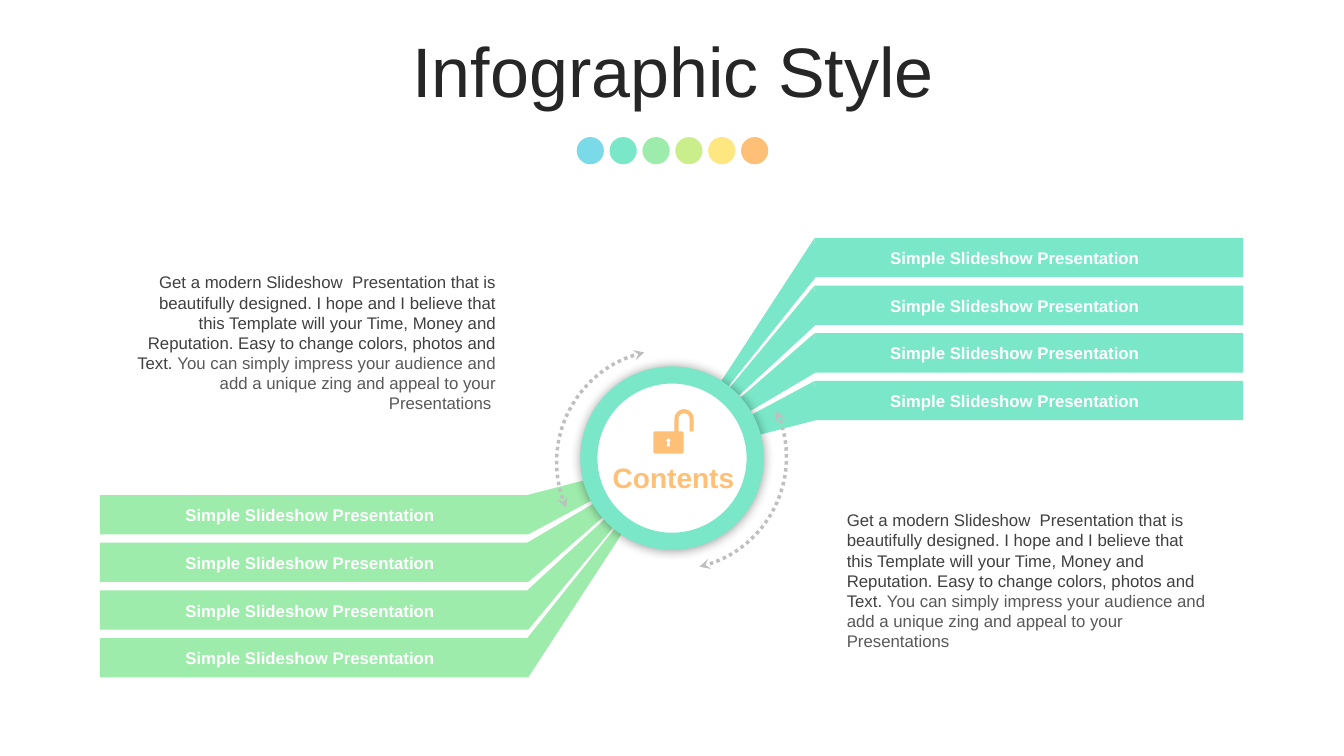
from math import cos, radians, sin

from lxml import etree
from pptx import Presentation
from pptx.dml.color import RGBColor
from pptx.enum.dml import MSO_LINE
from pptx.enum.shapes import MSO_SHAPE
from pptx.enum.text import MSO_ANCHOR, MSO_AUTO_SIZE, PP_ALIGN
from pptx.oxml.ns import qn
from pptx.util import Inches, Pt

RECT, OVAL, ARC = MSO_SHAPE.RECTANGLE, MSO_SHAPE.OVAL, MSO_SHAPE.ARC
LEFT, CENTER, RIGHT = PP_ALIGN.LEFT, PP_ALIGN.CENTER, PP_ALIGN.RIGHT
MIDDLE, GROW = MSO_ANCHOR.MIDDLE, MSO_AUTO_SIZE.SHAPE_TO_FIT_TEXT
DOTTED = MSO_LINE.ROUND_DOT

TEAL, GREEN, ORANGE, WHITE, GREY = "7AE8C8", "9EECAC", "FEC076", "FFFFFF", "BFBFBF"
PALETTE = ["7ADAE8", TEAL, GREEN, "CAEE8C", "FEE680", ORANGE]

HUB_X, HUB_Y = 6.66, 4.54
BAND_X, BAND_Y, BAND_W, BAND_H = 8.08, 2.36, 4.25, 0.39
BAND_COUNT, BAND_STEP = 4, 0.473

LABEL = "Simple Slideshow Presentation"
INTRO = ("Get a modern Slideshow  Presentation that is beautifully designed. "
         "I hope and I believe that this Template will your Time, Money and "
         "Reputation. Easy to change colors, photos and Text. ")
APPEAL = ("You can simply impress your audience and add a unique zing "
          "and appeal to your Presentations")


def rgb(value):
    return RGBColor.from_string(value)


def paint(s, fill):
    s.shadow.inherit = False
    s.line.fill.background()
    if fill:
        s.fill.solid()
        s.fill.fore_color.rgb = rgb(fill)
    else:
        s.fill.background()
    return s


def add_preset(slide, kind, box, fill=None):
    return paint(slide.shapes.add_shape(kind, *map(Inches, box)), fill)


def add_outline(slide, contours, fill):
    """Draw closed contours, given in inches, as one shape."""
    builder = None
    for contour in contours:
        start, *rest = [(Inches(x), Inches(y)) for x, y in contour]
        if builder is None:
            builder = slide.shapes.build_freeform(*start)
        else:
            builder.move_to(*start)
        builder.add_line_segments(rest, close=True)
    return paint(builder.convert_to_shape(), fill)


def add_text(slide, box, runs, align=LEFT, size=12, bold=False):
    """Add one paragraph; runs are (text, colour) pairs."""
    s = slide.shapes.add_textbox(*map(Inches, box))
    tf = s.text_frame
    tf.word_wrap = True
    tf.auto_size = GROW
    p = tf.paragraphs[0]
    p.alignment = align
    for text, color in runs:
        r = p.add_run()
        r.text = text
        for key, value in {"name": "Arial", "size": Pt(size), "bold": bold}.items():
            setattr(r.font, key, value)
        r.font.color.rgb = rgb(color)
    return s


def arc_points(cx, cy, radius, start, end, steps=12):
    angles = [radians(start + (end - start) * i / steps) for i in range(steps + 1)]
    return [(cx + radius * cos(a), cy + radius * sin(a)) for a in angles]


def add_title(slide):
    s = add_text(slide, (0.35, 0.37, 12.66, 0.79),
                 [("Infographic Style", "262626")], CENTER, 50)
    tf = s.text_frame
    tf.auto_size = MSO_AUTO_SIZE.NONE
    tf.vertical_anchor = MIDDLE
    tf.paragraphs[0].line_spacing = 0.8


def add_fan(slide, color, label_x, label_w, turned=False):
    """Four bands tapering to the hub; turned rotates them half way round it."""
    def place(x, y):
        return (2 * HUB_X - x, 2 * HUB_Y - y) if turned else (x, y)

    for i in range(BAND_COUNT):
        y = BAND_Y + BAND_STEP * i
        corners = [place(BAND_X, y), place(BAND_X + BAND_W, y + BAND_H)]
        left, top = map(min, zip(*corners))
        add_preset(slide, RECT, (left, top, BAND_W, BAND_H), color)
        taper = [place(BAND_X, y), (HUB_X, HUB_Y), place(BAND_X + 0.01, y + BAND_H)]
        add_outline(slide, [taper], color)
        add_text(slide, (label_x, top + 0.05, label_w, 0.3), [(LABEL, WHITE)], bold=True)


def add_hub(slide):
    s = add_preset(slide, OVAL, (5.84, 3.72, 1.65, 1.65), WHITE)
    s.line.color.rgb = rgb(TEAL)
    s.line.width = Pt(12.25)
    effects = s._element.spPr.find(qn("a:effectLst"))
    shadow = etree.SubElement(effects, qn("a:outerShdw"), blurRad=str(Pt(8)),
                              dist="0", dir="0", algn="ctr", rotWithShape="0")
    black = etree.SubElement(shadow, qn("a:srgbClr"), val="000000")
    etree.SubElement(black, qn("a:alpha"), val="40000")


def add_orbit(slide, left, top, rotation):
    s = add_preset(slide, ARC, (left, top, 2.23, 2.23))
    s.rotation = rotation
    # Angles are stored in 60000ths of a degree, adjustments in 100000ths
    for i, angle in enumerate((111.57, 212.83)):
        s.adjustments[i] = angle * 0.6
    s.line.color.rgb = rgb(GREY)
    s.line.width = Pt(2.5)
    s.line.dash_style = DOTTED
    ln = s._element.spPr.find(qn("a:ln"))
    for end in ("a:headEnd", "a:tailEnd"):
        etree.SubElement(ln, qn(end), type="stealth")


def add_padlock(slide):
    left, top, right, bottom, r = 6.48, 4.28, 6.78, 4.5, 0.02
    shackle_x, shackle_y = 6.785, 4.155
    body = [(6.69, top)]
    body += arc_points(shackle_x, shackle_y, 0.095, 180, 360)
    body += [(6.88, top), (6.84, top)]
    body += arc_points(shackle_x, shackle_y, 0.055, 360, 180)
    body += [(6.73, top)]
    corners = [(right - r, top + r, 270), (right - r, bottom - r, 0),
               (left + r, bottom - r, 90), (left + r, top + r, 180)]
    for x, y, angle in corners:
        body += arc_points(x, y, r, angle, angle + 90, 4)
    keyhole = arc_points(6.63, 4.37, 0.02, 120, 420) + [(6.65, 4.43), (6.61, 4.43)]
    add_outline(slide, [body, keyhole], ORANGE)


def main():
    prs = Presentation()
    prs.slide_width, prs.slide_height = Inches(13.33), Inches(7.5)
    slide = prs.slides.add_slide(prs.slide_layouts[6])

    # Heading and palette
    for i, color in enumerate(PALETTE):
        add_preset(slide, OVAL, (5.72 + 0.326 * i, 1.36, 0.27, 0.27), color)
    add_title(slide)

    # Bands
    add_fan(slide, TEAL, 8.73, 2.99)
    add_fan(slide, GREEN, 1.74, 2.83, turned=True)

    # Hub
    add_hub(slide)
    add_orbit(slide, 5.57, 3.42, 224.1)
    add_orbit(slide, 5.52, 3.47, 44.5)
    add_text(slide, (5.93, 4.52, 1.5, 0.44), [("Contents", ORANGE)], CENTER, 20, True)
    add_padlock(slide)

    # Descriptions
    add_text(slide, (8.3, 5.01, 3.82, 1.51), [(INTRO, "404040"), (APPEAL, "595959")])
    add_text(slide, (1.2, 2.65, 3.82, 1.72),
             [(INTRO, "404040"), (APPEAL + " ", "595959")], RIGHT)

    prs.save("out.pptx")


if __name__ == "__main__":
    main()
